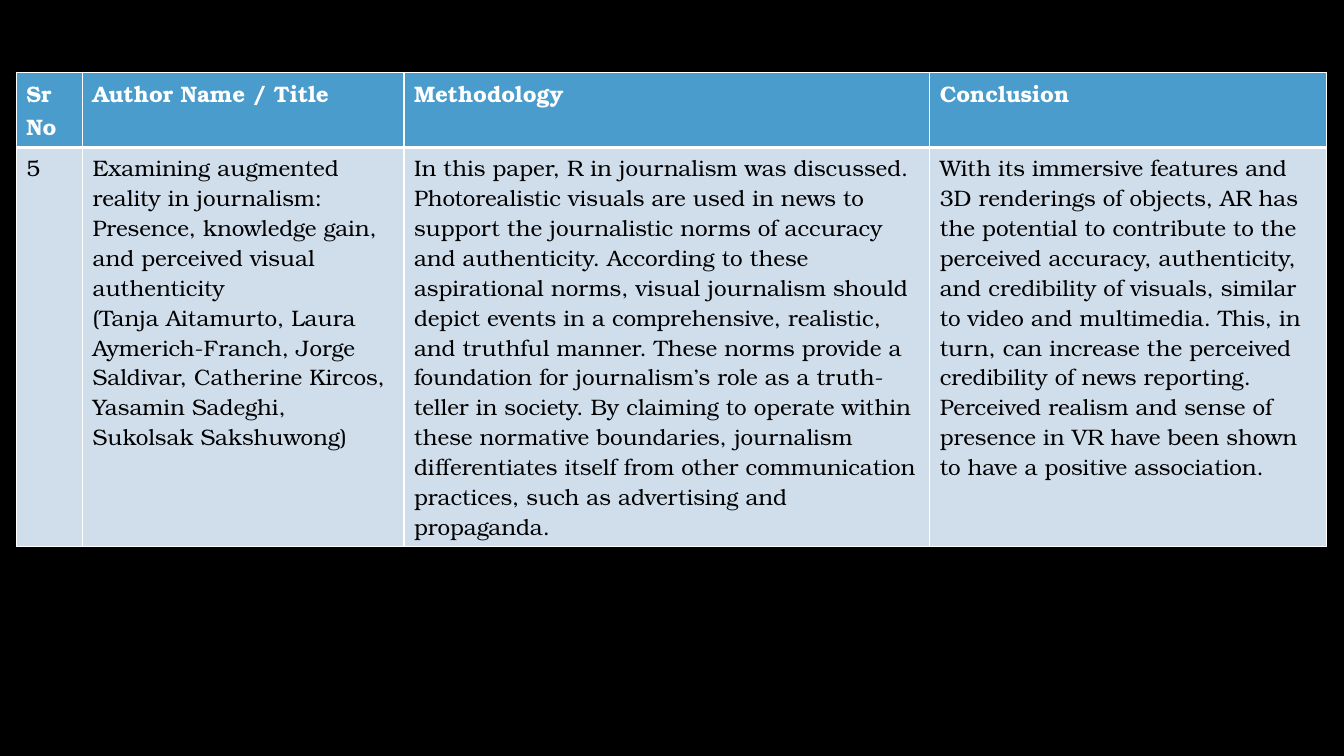
from lxml.etree import SubElement
from pptx import Presentation
from pptx.dml.color import RGBColor
from pptx.oxml.ns import qn
from pptx.util import Cm, Pt

HEADINGS = ["Sr No", "Author Name / Title", "Methodology", "Conclusion"]
STUDY = [
    "5",
    "Examining augmented reality in journalism: Presence, knowledge gain, "
    "and perceived visual authenticity\n"
    "(Tanja Aitamurto, Laura Aymerich-Franch, Jorge Saldivar, Catherine Kircos, "
    "Yasamin Sadeghi, Sukolsak Sakshuwong)",
    "In this paper, R in journalism was discussed. Photorealistic visuals are used "
    "in news to support the journalistic norms of accuracy and authenticity. "
    "According to these aspirational norms, visual journalism should depict events "
    "in a comprehensive, realistic, and truthful manner. These norms provide a "
    "foundation for journalism’s role as a truth-teller in society. By claiming to "
    "operate within these normative boundaries, journalism differentiates itself "
    "from other communication practices, such as advertising and propaganda.",
    "With its immersive features and 3D renderings of objects, AR has the potential "
    "to contribute to the perceived accuracy, authenticity, and credibility of "
    "visuals, similar to video and multimedia. This, in turn, can increase the "
    "perceived credibility of news reporting. Perceived realism and sense of "
    "presence in VR have been shown to have a positive association.",
]
COLORS = {
    "background": "000000",
    "heading_fill": "4A9CCC",
    "study_fill": "D0DEEC",
    "heading_text": "FFFFFF",
    "study_text": "000000",
    "border": "FFFFFF",
}
FONT = "TeX Gyre Bonum"
COLUMN_WIDTHS = [1.67, 8.1, 13.25, 10.0]
ROW_HEIGHTS = [1.68, 8.81]
TABLE_LEFT, TABLE_TOP = 0.41, 1.82
THIN, THICK = 1, 3


def color(name):
    """Return the named colour."""
    return RGBColor.from_string(COLORS[name])


def write_text(frame, text, text_color, size=16, bold=False):
    """Write each line of text as a formatted paragraph."""
    for index, line in enumerate(text.split("\n")):
        para = frame.add_paragraph() if index else frame.paragraphs[0]
        span = para.add_run()
        span.text = line
        span.font.name = FONT
        span.font.size = Pt(size)
        span.font.bold = bold
        span.font.color.rgb = color(text_color)


def set_borders(cell, top=THIN, bottom=THIN):
    """Draw the four cell borders, placed before the fill."""
    properties = cell._tc.get_or_add_tcPr()
    widths = {"lnL": THIN, "lnR": THIN, "lnT": top, "lnB": bottom}
    for position, (side, width) in enumerate(widths.items()):
        line = SubElement(properties, qn(f"a:{side}"), w=str(Pt(width)))
        fill = SubElement(line, qn("a:solidFill"))
        SubElement(fill, qn("a:srgbClr"), val=COLORS["border"])
        properties.insert(position, line)


def add_study_table(slide):
    """Add the literature table with its heading row and study row."""
    table = slide.shapes.add_table(
        len(ROW_HEIGHTS), len(COLUMN_WIDTHS), Cm(TABLE_LEFT), Cm(TABLE_TOP),
        Cm(sum(COLUMN_WIDTHS)), Cm(sum(ROW_HEIGHTS)),
    ).table
    for column, width in zip(table.columns, COLUMN_WIDTHS):
        column.width = Cm(width)
    for row, height in zip(table.rows, ROW_HEIGHTS):
        row.height = Cm(height)

    rows = [("heading", HEADINGS, {"bottom": THICK}), ("study", STUDY, {"top": THICK})]
    for row, (kind, texts, borders) in zip(table.rows, rows):
        for cell, text in zip(row.cells, texts):
            cell.fill.solid()
            cell.fill.fore_color.rgb = color(f"{kind}_fill")
            set_borders(cell, **borders)
            write_text(cell.text_frame, text, f"{kind}_text", bold=kind == "heading")


deck = Presentation()
deck.slide_width, deck.slide_height = Cm(33.87), Cm(19.05)
page = deck.slides.add_slide(deck.slide_layouts[6])
page.background.fill.solid()
page.background.fill.fore_color.rgb = color("background")
add_study_table(page)
deck.save("out.pptx")
